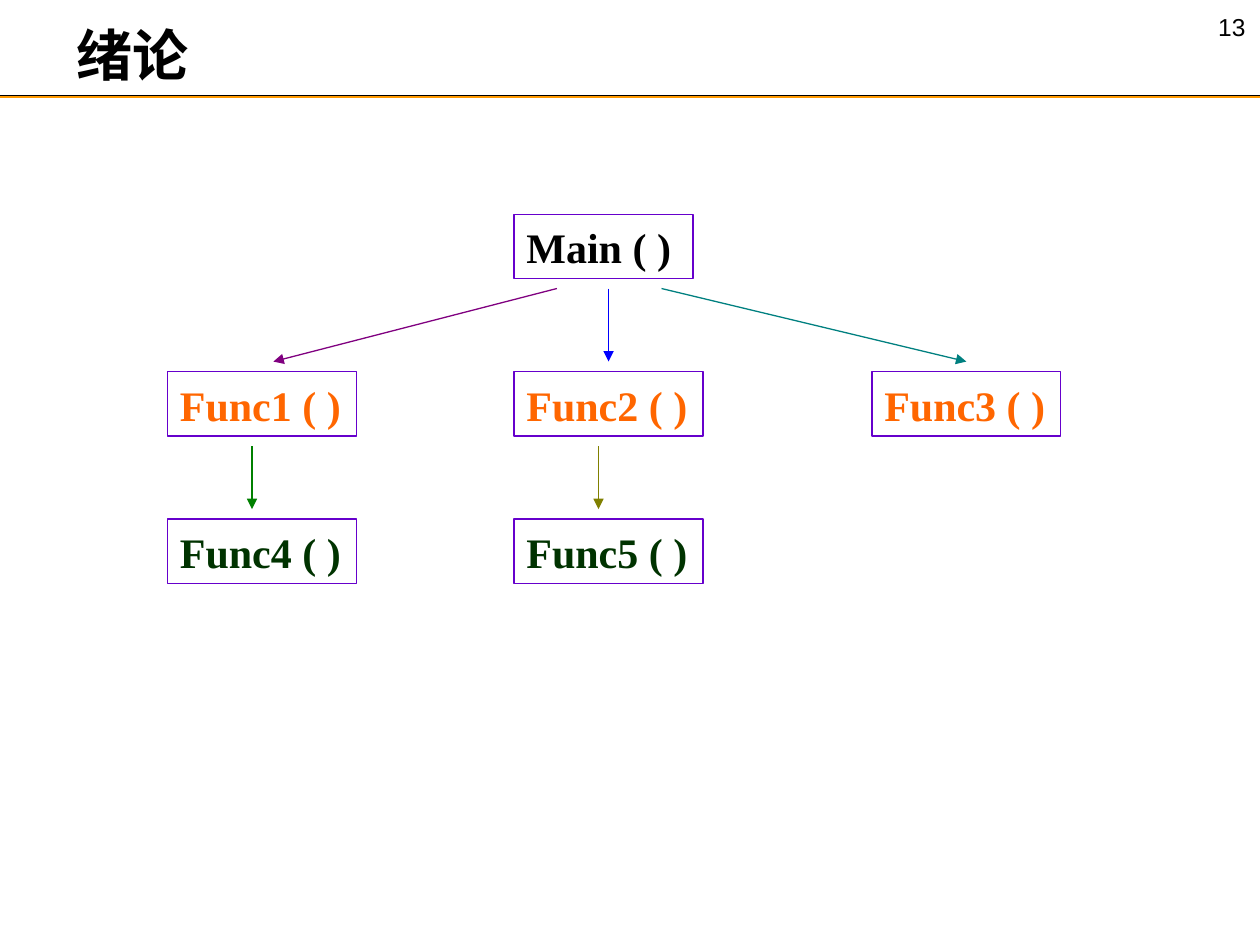
from dataclasses import dataclass

from lxml.etree import SubElement
from pptx import Presentation
from pptx.dml.color import RGBColor
from pptx.enum.shapes import MSO_CONNECTOR, MSO_SHAPE
from pptx.enum.text import MSO_ANCHOR, MSO_AUTO_SIZE, PP_ALIGN
from pptx.oxml.ns import qn
from pptx.util import Inches, Pt


@dataclass(frozen=True)
class Theme:
    black: str = "000000"
    rule: str = "FF9900"
    border: str = "6600CC"
    level1: str = "FF6600"
    level2: str = "003300"
    sans: str = "Arial"
    serif: str = "Times New Roman"
    title: int = 32
    node: int = 24
    number: int = 14
    line: float = 0.75


@dataclass(frozen=True)
class Node:
    text: str
    left: float
    top: float
    color: str
    width: float = 1.5


@dataclass(frozen=True)
class Line:
    start: tuple[float, float]
    end: tuple[float, float]
    color: str
    arrow: bool = True


THEME = Theme()
COLUMNS = (1.33, 4.08, 6.92)
ROWS = (1.7, 2.95, 4.12)
NODE_HEIGHT = 0.51
CALL_TOP, CALL_END = 2.29, 2.87
SUBCALL_TOP, SUBCALL_END = 3.54, 4.04

NODES = [
    Node("Main ( )", COLUMNS[1], ROWS[0], THEME.black, 1.42),
    *(Node(f"Func{i} ( )", x, ROWS[1], THEME.level1) for i, x in enumerate(COLUMNS, 1)),
    *(Node(f"Func{i} ( )", x, ROWS[2], THEME.level2) for i, x in enumerate(COLUMNS[:2], 4)),
]
LINES = [
    Line((0, 0.76), (10, 0.76), THEME.black, False),
    Line((0, 0.77), (10, 0.77), THEME.rule, False),
    Line((4.42, CALL_TOP), (2.17, CALL_END), "800080"),
    Line((4.83, CALL_TOP), (4.83, CALL_END), "0000FF"),
    Line((5.25, CALL_TOP), (7.67, CALL_END), "008080"),
    Line((2, SUBCALL_TOP), (2, SUBCALL_END), "008000"),
    Line((4.75, SUBCALL_TOP), (4.75, SUBCALL_END), "808000"),
]


def write(sp, text: str, *, size: int, font: str, color: str = THEME.black,
          bold: bool = False, wrap: bool = False, anchor=MSO_ANCHOR.TOP) -> None:
    """Put one left-aligned, formatted run into a shape."""
    tf = sp.text_frame
    tf.word_wrap = wrap
    tf.auto_size = MSO_AUTO_SIZE.NONE
    tf.vertical_anchor = anchor
    p = tf.paragraphs[0]
    p.alignment = PP_ALIGN.LEFT
    r = p.add_run()
    r.text = text
    r.font.size = Pt(size)
    r.font.name = font
    r.font.bold = bold
    r.font.color.rgb = RGBColor.from_string(color)


def stroke(sp, color: str) -> None:
    """Give a shape or connector its thin line."""
    sp.line.color.rgb = RGBColor.from_string(color)
    sp.line.width = Pt(THEME.line)


def draw_node(s, node: Node) -> None:
    """Draw one function box."""
    sp = s.shapes.add_shape(MSO_SHAPE.RECTANGLE, Inches(node.left), Inches(node.top),
                            Inches(node.width), Inches(NODE_HEIGHT))
    sp.shadow.inherit = False
    sp.fill.background()
    stroke(sp, THEME.border)
    write(sp, node.text, size=THEME.node, font=THEME.serif, color=node.color,
          bold=True, wrap=True, anchor=MSO_ANCHOR.BOTTOM)


def draw_line(s, line: Line) -> None:
    """Draw a rule or a call arrow."""
    sp = s.shapes.add_connector(MSO_CONNECTOR.STRAIGHT,
                                *(Inches(v) for v in line.start + line.end))
    stroke(sp, line.color)
    if line.arrow:
        SubElement(sp.line._get_or_add_ln(), qn("a:tailEnd"), type="triangle")
    SubElement(sp._element.spPr, qn("a:effectLst"))


def main() -> None:
    """Build and save the slide."""
    prs = Presentation()
    prs.slide_width, prs.slide_height = Inches(10), Inches(7.5)
    s = prs.slides.add_slide(prs.slide_layouts[5])
    title = s.shapes.title
    title.left, title.top = Inches(0.51), Inches(0.11)
    title.width, title.height = Inches(1.1), Inches(0.64)
    write(title, "绪论", size=THEME.title, font=THEME.sans, bold=True)
    number = s.shapes.add_textbox(Inches(9.57), Inches(0.05), Inches(0.44), Inches(0.33))
    write(number, "13", size=THEME.number, font=THEME.sans)
    for node in NODES:
        draw_node(s, node)
    for line in LINES:
        draw_line(s, line)
    prs.save("out.pptx")


main()
